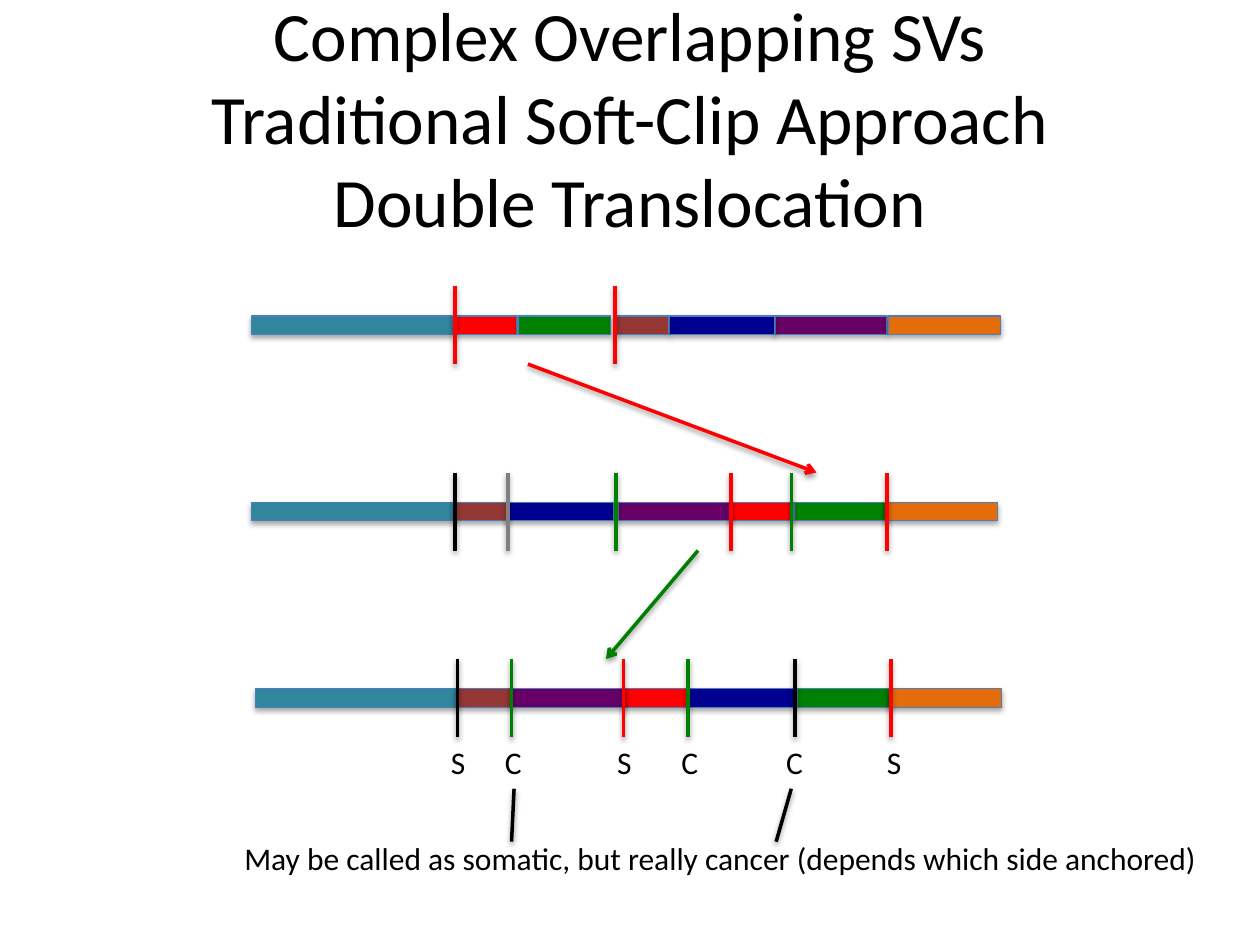
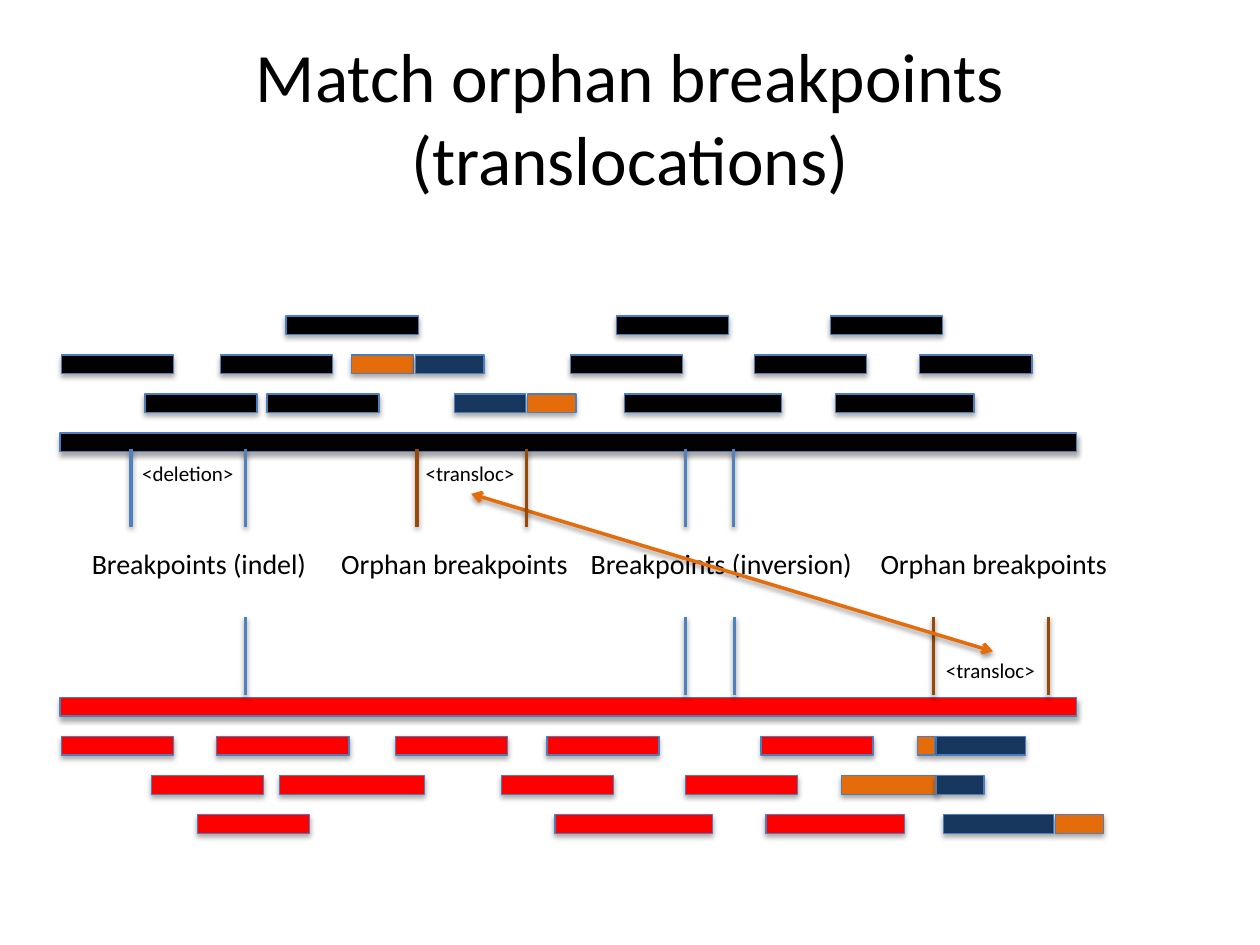
"""Builds two slides on overlapping structural variants and orphan breakpoints."""
from dataclasses import dataclass, field

from pptx import Presentation
from pptx.dml.color import RGBColor
from pptx.enum.shapes import MSO_CONNECTOR, MSO_SHAPE
from pptx.enum.text import MSO_ANCHOR, MSO_AUTO_SIZE, PP_ALIGN
from pptx.oxml import parse_xml
from pptx.oxml.ns import nsdecls
from pptx.util import Inches, Pt


@dataclass(frozen=True)
class Theme:
    """Colours, type sizes and line weights of the deck."""
    font: str = "Calibri"
    title: float = 39.6
    body: int = 18
    caption: int = 16
    tag: int = 12
    tick: int = 2
    outline: float = 0.75
    colours: dict = field(default_factory=lambda: {
        "black": "000000", "red": "FF0000", "green": "008000",
        "teal": "31859C", "blue": "000090", "purple": "660066",
        "brown": "953735", "orange": "E46C0A", "navy": "17375E",
        "grey": "808080", "sky": "4F81BD", "rust": "984807",
        "edge": "4B7EBC"})

    def rgb(self, name):
        """Return a named colour."""
        return RGBColor.from_string(self.colours[name])


class Deck:
    """Draws elements on a grid of 100 columns by 75 rows."""
    BAR = 6.2

    def __init__(self, theme):
        """Open an empty presentation of 10 by 7.5 inches."""
        self.theme = theme
        self.prs = Presentation()
        self.prs.slide_width, self.prs.slide_height = Inches(10), Inches(7.5)
        self.s = None

    def grid(self, *cells):
        """Turn grid cells into lengths."""
        return [Inches(c / 10) for c in cells]

    def slide(self, title):
        """Start a slide with a centred title."""
        self.s = self.prs.slides.add_slide(self.prs.slide_layouts[6])
        tf = self.text(title, 5, 3, 90, 12.5, self.theme.title)
        tf.word_wrap = True
        tf.auto_size = MSO_AUTO_SIZE.NONE
        tf.vertical_anchor = MSO_ANCHOR.MIDDLE
        tf.paragraphs[0].alignment = PP_ALIGN.CENTER

    def text(self, text, x, y, w, h, size):
        """Add one paragraph of black text and return its frame."""
        tf = self.s.shapes.add_textbox(*self.grid(x, y, w, h)).text_frame
        tf.word_wrap = False
        tf.auto_size = MSO_AUTO_SIZE.SHAPE_TO_FIT_TEXT
        p = tf.paragraphs[0]
        p.text = text
        for r in p.runs:
            r.font.name, r.font.size = self.theme.font, Pt(size)
            r.font.color.rgb = self.theme.rgb("black")
        return tf

    def shadow(self, sp, opacity, distance):
        """Give an element a soft shadow straight below it."""
        sp._element.spPr.append(parse_xml(
            f'<a:effectLst {nsdecls("a")}><a:outerShdw blurRad="{Pt(3.1)}" '
            f'dist="{Pt(distance)}" dir="5400000" rotWithShape="0">'
            f'<a:srgbClr val="000000"><a:alpha val="{opacity * 1000}"/>'
            '</a:srgbClr></a:outerShdw></a:effectLst>'))

    def bar(self, colour, x, y, w):
        """Add a stretch of sequence."""
        sp = self.s.shapes.add_shape(MSO_SHAPE.MATH_MINUS,
                                     *self.grid(x, y, w, self.BAR))
        sp.fill.solid()
        sp.fill.fore_color.rgb = self.theme.rgb(colour)
        sp.line.color.rgb = self.theme.rgb("edge")
        sp.line.width = Pt(self.theme.outline)
        self.shadow(sp, 35, 1.8)

    def line(self, colour, x1, y1, x2, y2, *arrows):
        """Add a line with arrowheads at the named ends, head before tail."""
        sp = self.s.shapes.add_connector(MSO_CONNECTOR.STRAIGHT,
                                         *self.grid(x1, y1, x2, y2))
        sp.line.color.rgb = self.theme.rgb(colour)
        sp.line.width = Pt(self.theme.tick)
        for end in arrows:
            sp.line._get_or_add_ln().append(parse_xml(
                f'<a:{end}End {nsdecls("a")} type="arrow"/>'))
        self.shadow(sp, 38, 1.6)

    def ticks(self, y, marks):
        """Add upright breakpoint marks along one row."""
        for colour, x in marks:
            self.line(colour, x, y, x, y + self.BAR)


def double_translocation(d):
    """Three stages of a chromosome passing through two translocations."""
    d.slide("Complex Overlapping SVs\vTraditional Soft-Clip Approach\v"
            "Double Translocation")
    widths = {"teal": 21.7, "red": 6.7, "green": 10, "purple": 12.1,
              "orange": 12.1, "blue": 11.4, "brown": 5.7}
    stages = [
        ({"teal": 17.1, "red": 35.2, "green": 39.8, "purple": 59.9,
          "orange": 68.9, "blue": 51.6, "brown": 48.1},
         [("red", 36.1), ("red", 48.8)]),
        ({"teal": 17.1, "red": 57.1, "blue": 38.8, "green": 61.7,
          "purple": 47.5, "orange": 68.7, "brown": 35.3},
         [("red", 58), ("red", 70.4), ("green", 48.9), ("green", 62.8),
          ("black", 36.1), ("grey", 40.3)]),
        ({"teal": 17.4, "red": 48.7, "brown": 35.6, "green": 62,
          "purple": 39.1, "orange": 69, "blue": 53.2},
         [("red", 49.5), ("red", 70.7), ("green", 40.6), ("green", 54.6),
          ("black", 36.3), ("black", 63.1)])]
    for i, (segments, marks) in enumerate(stages):
        y = 22.7 + 14.8 * i
        for colour, x in segments.items():
            d.bar(colour, x, y, widths[colour])
        d.ticks(y, marks)
    d.line("red", 41.9, 28.9, 64.8, 37.5, "tail")
    d.line("green", 55.4, 43.7, 48.1, 52.3, "tail")
    for letter, x in zip("SCSCCS", (34.8, 39.1, 48, 53.1, 61.4, 69.4)):
        d.text(letter, x, 58.5, 3.3, 4, d.theme.body)
    d.text("May be called as somatic, but really cancer "
           "(depends which side anchored)", 18.4, 66.1, 77.8, 4, d.theme.body)
    for top, foot in ((40.8, 40.6), (62.8, 61.6)):
        d.line("black", top, 62.6, foot, 66.8)


def orphan_breakpoints(d):
    """Reads above and below two chromosomes joined by a translocation."""
    d.slide("Match orphan breakpoints (translocations)")
    pitch, read, whole = 3.1, 12.1, (-9.8, 109.8)
    upper = [
        [("black", 20.8, 14.3), ("black", 47.3, read), ("black", 64.3, read)],
        [("black", 15.9, read), ("orange", 27, 6.7), ("black", 43.7, read),
         ("black", 58.3, read), ("black", 3.3, read), ("black", 71.4, read),
         ("navy", 32, 7.4)],
        [("black", 9.9, read), ("black", 19.6, read), ("navy", 35.1, 7.6),
         ("black", 47.3, 17), ("black", 64.3, 15), ("orange", 41.2, 5.2)],
        [("black", *whole)]]
    lower = [
        [("red", *whole)],
        [("red", 15.3, 14.3), ("red", 29.8, read), ("red", 41.8, read),
         ("red", 58.8, read), ("red", 3.3, read), ("navy", 73, 9.7),
         ("orange", 72.6, 1.8)],
        [("red", 10.4, read), ("red", 20.1, 15.7), ("red", 38.2, read),
         ("red", 52.8, read), ("orange", 65.4, 10.4), ("navy", 73.6, 5.2)],
        [("red", 14.1, read), ("red", 41.8, 17), ("red", 58.8, 15),
         ("navy", 73.3, 11.9), ("orange", 83.1, 5.2)]]
    for top, rows in ((22.7, upper), (53, lower)):
        for i, row in enumerate(rows):
            for colour, x, w in row:
                d.bar(colour, x, top + pitch * i, w)
    d.ticks(35.6, [("sky", 10.4), ("sky", 19.5), ("rust", 33.1),
                   ("sky", 54.4), ("sky", 58.2)])
    d.ticks(49, [("sky", 19.5), ("sky", 54.4), ("sky", 58.3),
                 ("rust", 74.1), ("rust", 83.2)])
    for caption, x, w in (("Breakpoints (indel)", 6.3, 19.2),
                          ("Orphan breakpoints", 26.1, 20.2),
                          ("Breakpoints (inversion)", 45.9, 23),
                          ("Orphan breakpoints", 68.9, 20.2)):
        d.text(caption, x, 42.9, w, 3.7, d.theme.caption)
    for tag, x, y in (("<deletion>", 10.3, 36.1), ("<transloc>", 32.8, 36.1),
                      ("<transloc>", 74.1, 51.7)):
        d.text(tag, x, y, 9.3, 3, d.theme.tag)
    d.line("orange", 37.4, 39.2, 78.8, 51.7, "head", "tail")
    d.ticks(35.6, [("rust", 41.8)])


deck = Deck(Theme())
double_translocation(deck)
orphan_breakpoints(deck)
deck.prs.save("out.pptx")
